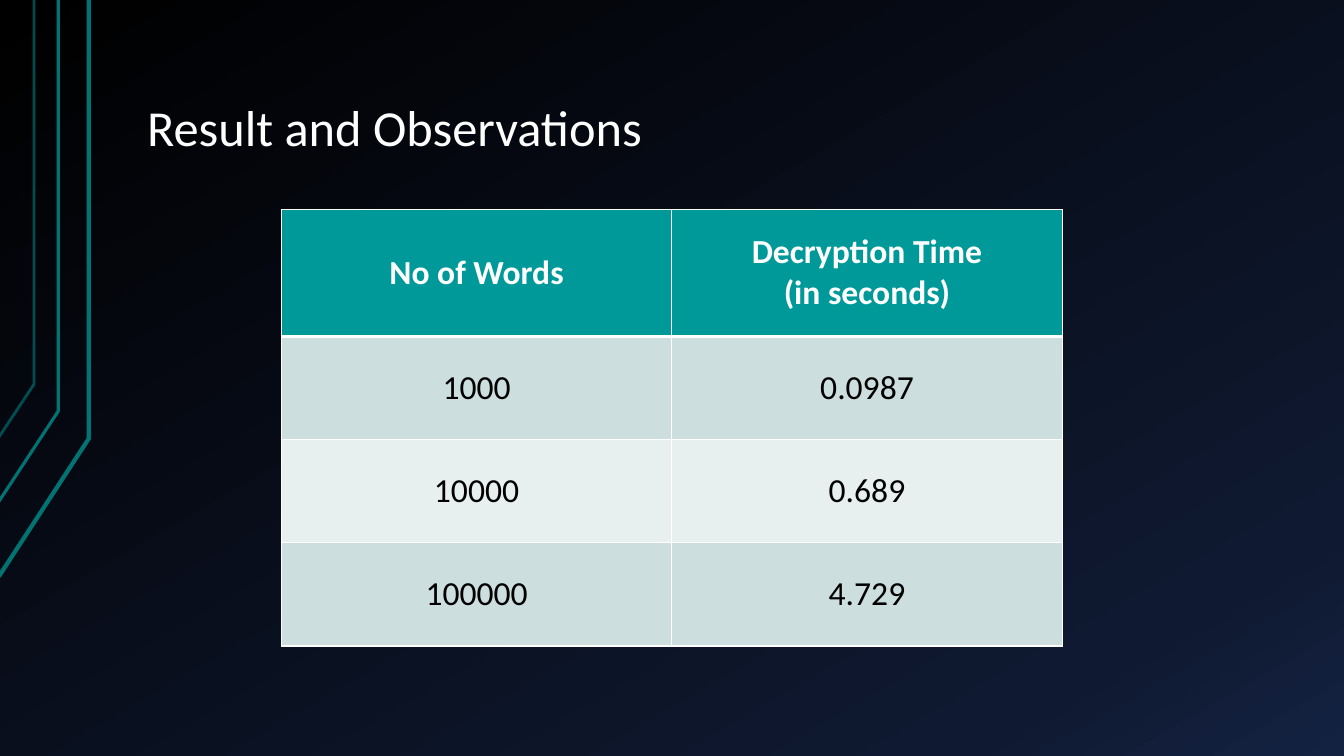
from copy import deepcopy

from lxml.etree import SubElement
from pptx import Presentation
from pptx.dml.color import RGBColor
from pptx.enum.text import MSO_ANCHOR, PP_ALIGN
from pptx.oxml.ns import qn
from pptx.util import Cm, Pt

COLORS = {
    "night": "000000",
    "navy": "0F1931",
    "blue": "142242",
    "line": "007373",
    "header": "009999",
    "band": "CCDEDE",
    "light band": "E7EFEF",
    "white": "FFFFFF",
    "black": "000000",
}
GRADIENT = [(0, "night"), (0.85, "navy"), (1, "blue")]
BENT_LINES = [
    ([(-0.03, 14.53), (2.24, 11.05), (2.24, 0)], 3, 100),
    ([(-0.05, 12.67), (1.47, 10.36), (1.47, 0)], 2.25, 100),
    ([(-0.03, 11.02), (0.86, 9.68), (0.86, 0)], 2, 65),
]
RESULTS = [
    ("No of Words", "Decryption Time\n(in seconds)"),
    ("1000", "0.0987"),
    ("10000", "0.689"),
    ("100000", "4.729"),
]


def color(name):
    """Return the named colour."""
    return RGBColor.from_string(COLORS[name])


def write_text(frame, text, size=24, fill="black", bold=False,
               align=PP_ALIGN.CENTER, spacing=None):
    """Write each line of the text as a formatted paragraph."""
    frame.text = text
    for paragraph in frame.paragraphs:
        paragraph.alignment = align
        paragraph.line_spacing = spacing
        font = paragraph.runs[0].font
        font.name, font.size, font.bold = "Calibri", Pt(size), bold
        font.color.rgb = color(fill)


def paint_background(slide):
    """Fill the background with the three-stop gradient."""
    fill = slide.background.fill
    fill.gradient()
    fill.gradient_angle = 300
    stop_list = next(slide.element.iter(qn("a:gsLst")))
    stop_list.append(deepcopy(stop_list[-1]))
    for stop, (position, name) in zip(fill.gradient_stops, GRADIENT):
        stop.position = position
        stop.color.rgb = color(name)


def add_bent_line(slide, points, width, opacity):
    """Draw an open outline through points given in centimetres."""
    start, *rest = [(Cm(x), Cm(y)) for x, y in points]
    builder = slide.shapes.build_freeform(*start)
    builder.add_line_segments(rest, close=False)
    shape = builder.convert_to_shape()
    shape.shadow.inherit = False
    shape.fill.background()
    shape.line.width = Pt(width)
    shape.line.color.rgb = color("line")
    if opacity < 100:
        line_color = next(shape.line._ln.iter(qn("a:srgbClr")))
        SubElement(line_color, qn("a:alpha"), val=str(opacity * 1000))


def add_title(slide, text):
    """Add the slide title, resting on the bottom of its box."""
    box = slide.shapes.add_textbox(Cm(3.38), Cm(0.76), Cm(28.78), Cm(3.4))
    frame = box.text_frame
    frame.word_wrap = True
    frame.vertical_anchor = MSO_ANCHOR.BOTTOM
    frame.margin_left = frame.margin_right = Cm(0.33)
    frame.margin_top = frame.margin_bottom = Cm(0.18)
    write_text(frame, text, size=36, fill="white", align=PP_ALIGN.LEFT, spacing=0.9)


def add_borders(cell, top, bottom):
    """Give the cell white borders, one point wide at the sides."""
    properties = cell._tc.get_or_add_tcPr()
    for side, width in (("L", 1), ("R", 1), ("T", top), ("B", bottom)):
        border = SubElement(properties, qn(f"a:ln{side}"), w=str(Pt(width)))
        fill = SubElement(border, qn("a:solidFill"))
        SubElement(fill, qn("a:srgbClr"), val=COLORS["white"])


def add_results_table(slide, rows):
    """Add the table with a header row and banded body rows."""
    frame = slide.shapes.add_table(
        len(rows), len(rows[0]), Cm(7.09), Cm(5.28), Cm(19.68), Cm(11))
    table = frame.table
    for row_index, values in enumerate(rows):
        header = row_index == 0
        table.rows[row_index].height = Cm(3.2 if header else 2.6)
        band = "header" if header else "band" if row_index % 2 else "light band"
        for column_index, value in enumerate(values):
            cell = table.cell(row_index, column_index)
            add_borders(cell, top=3 if row_index == 1 else 1, bottom=3 if header else 1)
            cell.fill.solid()
            cell.fill.fore_color.rgb = color(band)
            cell.vertical_anchor = MSO_ANCHOR.MIDDLE
            write_text(cell.text_frame, value, bold=header,
                       fill="white" if header else "black")


def main():
    """Build the slide and save it."""
    presentation = Presentation()
    presentation.slide_width, presentation.slide_height = Cm(33.87), Cm(19.05)
    slide = presentation.slides.add_slide(presentation.slide_layouts[6])
    paint_background(slide)
    for points, width, opacity in BENT_LINES:
        add_bent_line(slide, points, width, opacity)
    add_title(slide, "Result and Observations")
    add_results_table(slide, RESULTS)
    presentation.save("out.pptx")


if __name__ == "__main__":
    main()
